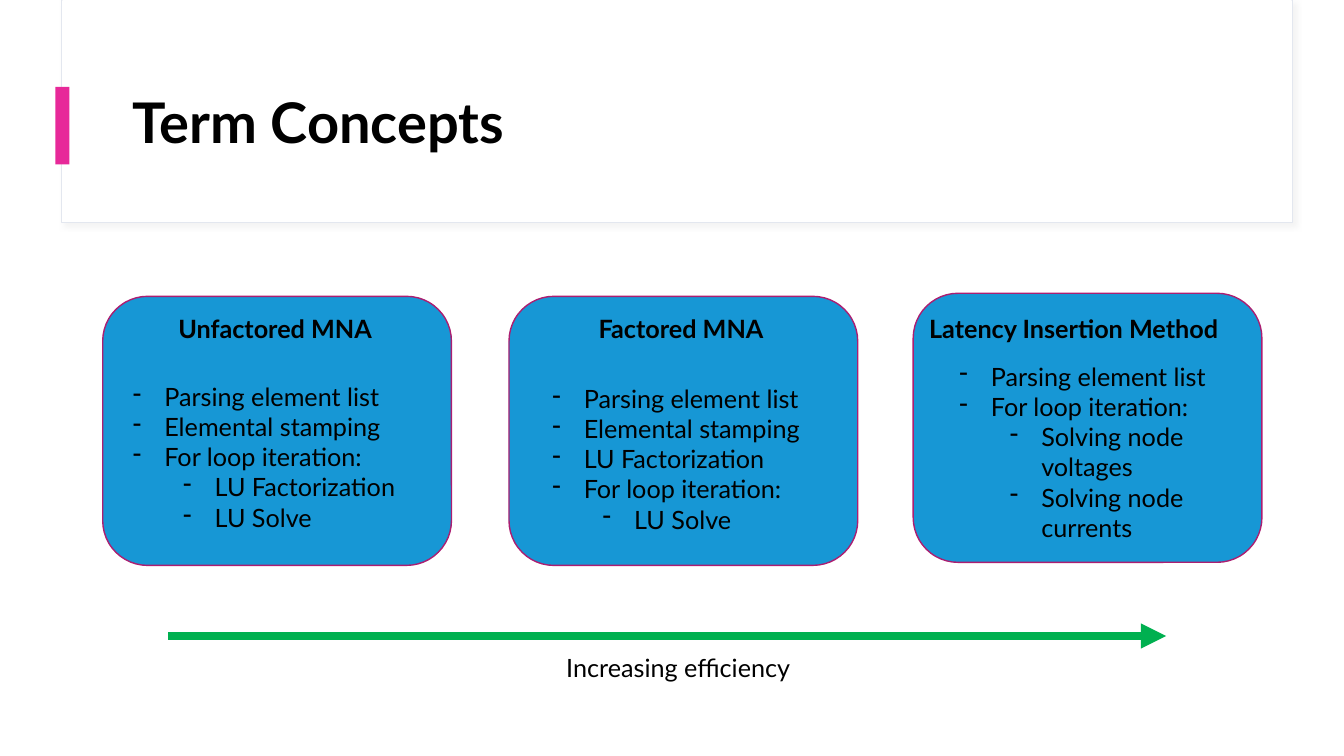
"""Build the Term Concepts slide comparing three circuit simulation methods."""
from lxml import etree
from pptx import Presentation
from pptx.dml.color import RGBColor
from pptx.enum.shapes import MSO_CONNECTOR, MSO_SHAPE
from pptx.enum.text import MSO_ANCHOR
from pptx.oxml import parse_xml
from pptx.oxml.ns import qn
from pptx.util import Pt

RECTANGLE = MSO_SHAPE.RECTANGLE
ROUNDED = MSO_SHAPE.ROUNDED_RECTANGLE
STRAIGHT = MSO_CONNECTOR.STRAIGHT
MIDDLE, TOP = MSO_ANCHOR.MIDDLE, MSO_ANCHOR.TOP
DRAWING = "http://schemas.openxmlformats.org/drawingml/2006/main"

presentation = Presentation()
presentation.slide_width, presentation.slide_height = Pt(960), Pt(540)
slide = presentation.slides.add_slide(presentation.slide_layouts[6])


def add_box(kind, left, top, width, height, fill, line=None, line_width=1):
    shape = slide.shapes.add_shape(kind, Pt(left), Pt(top), Pt(width), Pt(height))
    shape.shadow.inherit = False
    shape.fill.solid()
    shape.fill.fore_color.rgb = RGBColor.from_string(fill)
    if line:
        shape.line.color.rgb = RGBColor.from_string(line)
        shape.line.width = Pt(line_width)
    else:
        shape.line.fill.background()
    return shape


def add_text(items, left, top, width, height, size=18, bold=False, wrap=False,
             anchor=TOP, bullets=False, spacing=None):
    text_box = slide.shapes.add_textbox(Pt(left), Pt(top), Pt(width), Pt(height))
    frame = text_box.text_frame
    frame.word_wrap, frame.vertical_anchor = wrap, anchor
    for index, (level, text) in enumerate(items):
        paragraph = frame.add_paragraph() if index else frame.paragraphs[0]
        paragraph.level = level
        paragraph.line_spacing = spacing
        run = paragraph.add_run()
        run.text = text
        run.font.name, run.font.size, run.font.bold = "Lato", Pt(size), bold
        run.font.color.rgb = RGBColor.from_string("000000")
        if bullets:
            properties = paragraph._p.get_or_add_pPr()
            properties.set("marL", str(Pt(22.5 + 36 * level)))
            properties.set("indent", str(Pt(-22.5)))
            etree.SubElement(properties, qn("a:buChar")).set("char", "-")


header = add_box(RECTANGLE, 44, 0, 879, 159, "FFFFFF", "E3E7EF", 0.75)
shadow = parse_xml(
    f'<a:outerShdw xmlns:a="{DRAWING}" blurRad="{Pt(4)}" dist="{Pt(3)}" dir="2700000" '
    'algn="tl" rotWithShape="0"><a:srgbClr val="D9D9D9"><a:alpha val="30000"/>'
    '</a:srgbClr></a:outerShdw>')
header._element.spPr.find(qn("a:effectLst")).append(shadow)
add_box(RECTANGLE, 44.6, 0, 878, 158.4, "FFFFFF")
add_box(RECTANGLE, 39.6, 62, 10, 55.5, "E72999")
add_text([(0, "Term Concepts")], 87.8, 43.2, 800.6, 92.9, size=40, bold=True,
         wrap=True, anchor=MIDDLE, spacing=0.9)

methods = [
    ((73.4, 211.7), "Unfactored MNA", (120.3, 162.7), (87.8, 268.6, 206, 116.6), False,
     [(0, "Parsing element list"), (0, "Elemental stamping"), (0, "For loop iteration:"),
      (1, "LU Factorization"), (1, "LU Solve")]),
    ((363.6, 211.7), "Factored MNA", (420.5, 141.1), (387.4, 270, 202.3, 116.6), False,
     [(0, "Parsing element list"), (0, "Elemental stamping"), (0, "LU Factorization"),
      (0, "For loop iteration:"), (1, "LU Solve")]),
    ((652.3, 209.5), "Latency Insertion Method", (656.6, 239.8),
     (678.2, 254.2, 209.5, 138.2), True,
     [(0, "Parsing element list"), (0, "For loop iteration:"),
      (1, "Solving node voltages"), (1, "Solving node currents")]),
]
for corner, *_ in methods:
    add_box(ROUNDED, *corner, 249.1, 192.2, "1797D5", "AB1E71")
for _, heading, (left, width), *_ in methods:
    add_text([(0, heading)], left, 220.3, width, 29, bold=True)
for *_, list_area, wrap, steps in methods:
    add_text(steps, *list_area, wrap=wrap, bullets=True)

arrow = slide.shapes.add_connector(STRAIGHT, Pt(120.3), Pt(454.3), Pt(833), Pt(454.3))
arrow.line.color.rgb = RGBColor.from_string("00B050")
arrow.line.width = Pt(6)
etree.SubElement(arrow.line._get_or_add_ln(), qn("a:tailEnd")).set("type", "triangle")
etree.SubElement(arrow._element.spPr, qn("a:effectLst"))
add_text([(0, "Increasing efficiency")], 397.4, 462.2, 182.2, 29)

presentation.save("out.pptx")
